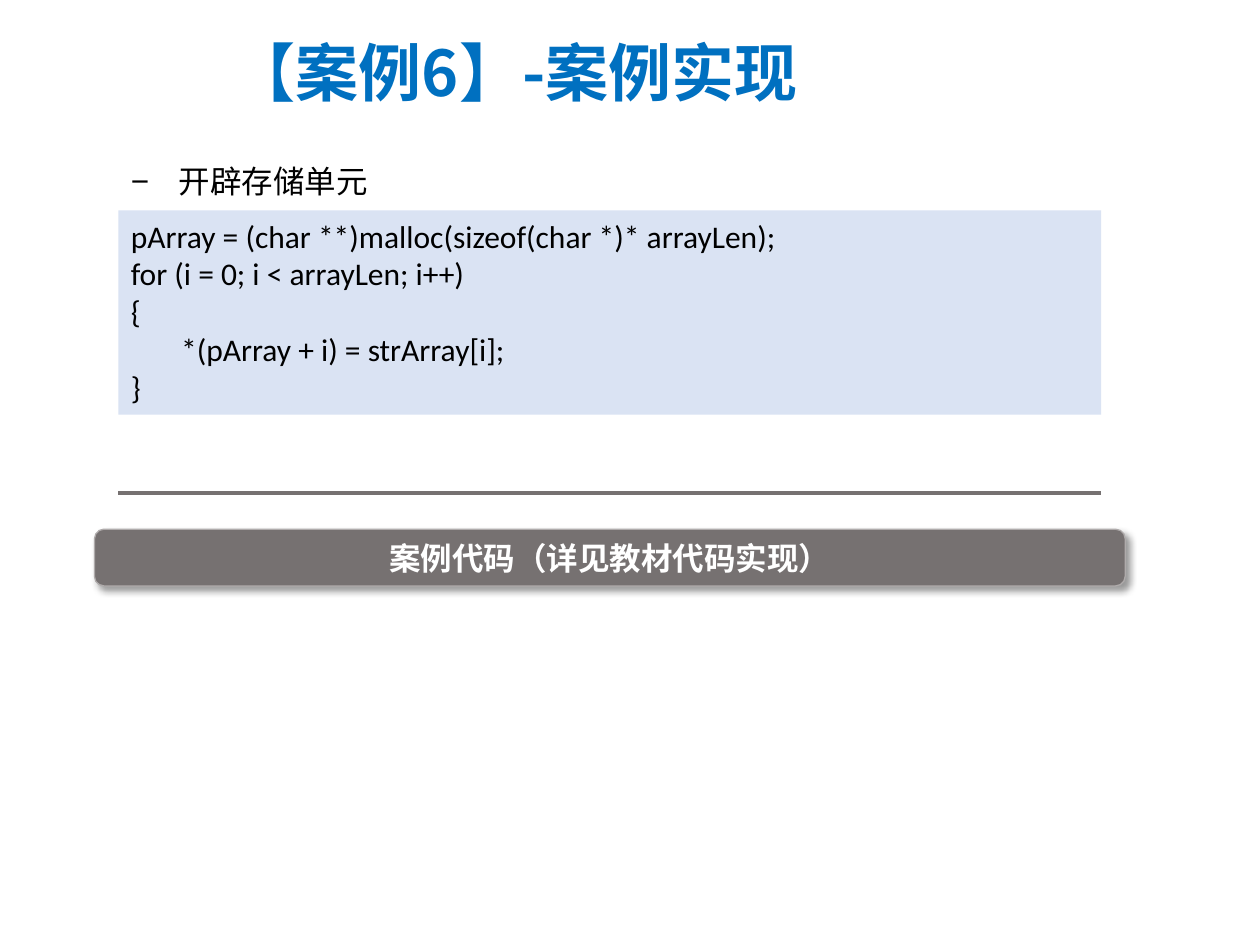
from lxml import etree
from pptx import Presentation
from pptx.dml.color import RGBColor
from pptx.enum.shapes import MSO_CONNECTOR, MSO_SHAPE
from pptx.enum.text import MSO_ANCHOR, PP_ALIGN
from pptx.oxml.ns import qn
from pptx.util import Inches, Pt

COLORS = {"title": "0070C0", "gray": "767171", "edge": "AFABAB",
          "code": "DAE3F3", "text": "000000", "white": "FFFFFF"}
CJK_FONT = "Noto Sans CJK SC"
CODE = [
    ("pArray = (char **)malloc(sizeof(char *)* arrayLen);", 0),
    ("for (i = 0; i < arrayLen; i++)", 0),
    ("{", 0),
    ("*(pArray + i) = strArray[i];", 0.4),
    ("}", 0),
]


def rgb(name):
    return RGBColor.from_string(COLORS[name])


def style(p, size, font, color, bold=False):
    for r in p.runs:
        f = r.font
        f.size, f.name, f.bold = Pt(size), font, bold
        f.color.rgb = rgb(color)
        etree.SubElement(r._r.get_or_add_rPr(), qn("a:ea"), typeface=CJK_FONT)


def indent(p, left, first=0):
    pPr = p._p.get_or_add_pPr()
    pPr.set("marL", str(Inches(left)))
    pPr.set("indent", str(Inches(first)))
    return pPr


def add_effects(s):
    return etree.SubElement(s._element.spPr, qn("a:effectLst"))


def add_text(slide, box, text):
    tf = slide.shapes.add_textbox(*map(Inches, box)).text_frame
    tf.word_wrap = True
    tf.text = text
    return tf


def add_panel(slide, kind, box, fill):
    s = slide.shapes.add_shape(kind, *map(Inches, box))
    s.fill.solid()
    s.fill.fore_color.rgb = rgb(fill)
    s.text_frame.word_wrap = True
    return s


def add_title(slide, box):
    tf = add_text(slide, box, "【案例6】-案例实现")
    tf.vertical_anchor = MSO_ANCHOR.MIDDLE
    p = tf.paragraphs[0]
    indent(p, 0.62, -0.62)
    style(p, 36, CJK_FONT, "title", True)


def add_step(slide, box):
    p = add_text(slide, box, "开辟存储单元").paragraphs[0]
    p.line_spacing = 1.5
    p.space_before = Pt(3.6)
    pPr = indent(p, 0.38, -0.38)
    etree.SubElement(pPr, qn("a:buFont"), typeface="Arial")
    etree.SubElement(pPr, qn("a:buChar"), char="−")
    style(p, 18, "Arial", "text")


def add_code(slide, box):
    s = add_panel(slide, MSO_SHAPE.RECTANGLE, box, "code")
    s.line.fill.background()
    s.shadow.inherit = False
    tf = s.text_frame
    tf.vertical_anchor = MSO_ANCHOR.TOP
    tf.text = "\n".join(line for line, _ in CODE)
    for p, (_, left) in zip(tf.paragraphs, CODE):
        p.alignment = PP_ALIGN.LEFT
        indent(p, left)
        style(p, 18, "Calibri", "text")


def add_rule(slide, x, y, width):
    c = slide.shapes.add_connector(MSO_CONNECTOR.STRAIGHT, Inches(x), Inches(y),
                                   Inches(x + width), Inches(y))
    c.line.color.rgb = rgb("gray")
    c.line.width = Pt(2.25)
    add_effects(c)


def add_banner(slide, box):
    s = add_panel(slide, MSO_SHAPE.ROUNDED_RECTANGLE, box, "gray")
    s.line.color.rgb = rgb("edge")
    s.line.width = Pt(0.75)
    shadow = etree.SubElement(add_effects(s), qn("a:outerShdw"), blurRad=str(Pt(4)),
                              dist=str(Pt(3)), dir=str(45 * 60000), algn="tl", rotWithShape="0")
    color = etree.SubElement(shadow, qn("a:srgbClr"), val=COLORS["text"])
    etree.SubElement(color, qn("a:alpha"), val="40000")
    tf = s.text_frame
    tf.vertical_anchor = MSO_ANCHOR.MIDDLE
    tf.text = "案例代码（详见教材代码实现）"
    p = tf.paragraphs[0]
    p.alignment = PP_ALIGN.CENTER
    style(p, 18, "Calibri", "white", True)


def main():
    prs = Presentation()
    prs.slide_width, prs.slide_height = Inches(10), Inches(7.5)
    slide = prs.slides.add_slide(prs.slide_layouts[6])
    left, width = 0.94, 7.8
    add_title(slide, (1.75, 0.15, 5.63, 0.84))
    add_banner(slide, (0.75, 4.2, 8.18, 0.45))
    add_rule(slide, left, 3.91, width)
    add_code(slide, (left, 1.67, width, 1.62))
    add_step(slide, (left, 1.09, 8.51, 0.48))
    prs.save("out.pptx")


if __name__ == "__main__":
    main()
